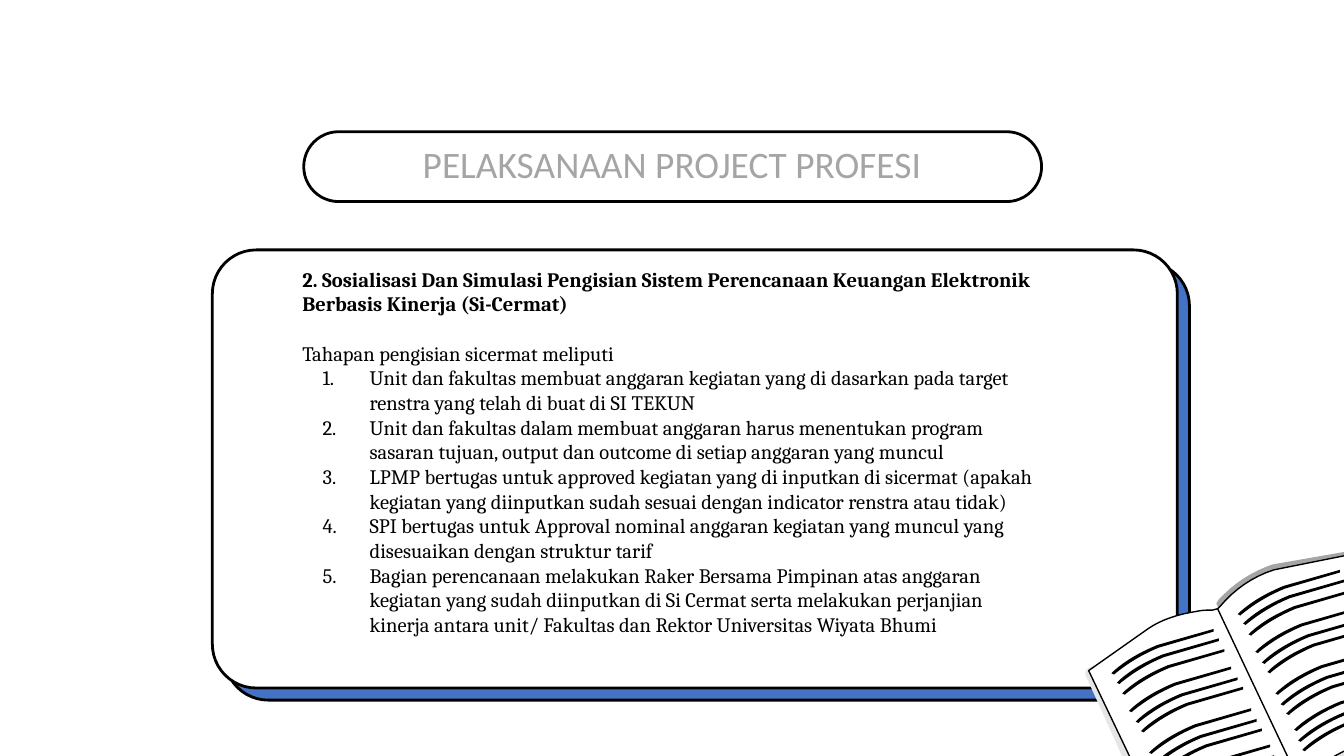
from dataclasses import dataclass

from lxml import etree
from pptx import Presentation
from pptx.dml.color import RGBColor
from pptx.enum.shapes import MSO_SHAPE
from pptx.enum.text import MSO_ANCHOR, MSO_AUTO_SIZE, PP_ALIGN
from pptx.oxml.ns import qn
from pptx.util import Inches, Pt

ROUNDED = MSO_SHAPE.ROUNDED_RECTANGLE
MIDDLE = MSO_ANCHOR.MIDDLE
NO_FIT = MSO_AUTO_SIZE.NONE
CENTER, LEFT = PP_ALIGN.CENTER, PP_ALIGN.LEFT


@dataclass(frozen=True)
class Theme:
    ink: RGBColor = RGBColor(0x00, 0x00, 0x00)
    paper: RGBColor = RGBColor(0xFF, 0xFF, 0xFF)
    accent: RGBColor = RGBColor(0x44, 0x72, 0xC4)
    grey: RGBColor = RGBColor(0xA5, 0xA5, 0xA5)
    cover: RGBColor = RGBColor(0xE7, 0xE6, 0xE6)
    title_font: str = "Calibri"
    body_font: str = "Cambria"
    title_size: Pt = Pt(20)
    body_size: Pt = Pt(11)
    frame_line: Pt = Pt(1.5)
    page_line: Pt = Pt(0.75)


theme = Theme()


def paint(shape, fill, line_width=None):
    shape.shadow.inherit = False
    shape.fill.solid()
    shape.fill.fore_color.rgb = fill
    if line_width is None:
        shape.line.fill.background()
    else:
        shape.line.color.rgb = theme.ink
        shape.line.width = line_width


def add_outline(shapes, contours, fill, line_width=None):
    """Each contour lists points (x, y) and Bezier steps (x1, y1, x2, y2, x, y)."""
    builder = None
    for start, *steps in contours:
        x, y = Inches(start[0]), Inches(start[1])
        if builder is None:
            builder = shapes.build_freeform(x, y)
        else:
            builder.move_to(x, y)
        points, pen = [], start
        for step in steps:
            if len(step) == 2:
                points.append(step)
            else:
                controls = [pen, step[:2], step[2:4], step[4:]]
                for t in (i / 8 for i in range(1, 9)):
                    weights = ((1 - t) ** 3, 3 * t * (1 - t) ** 2, 3 * t * t * (1 - t), t ** 3)
                    points.append([sum(w * c[axis] for w, c in zip(weights, controls))
                                   for axis in (0, 1)])
            pen = step[-2:]
        builder.add_line_segments([(Inches(px), Inches(py)) for px, py in points], close=True)
    paint(builder.convert_to_shape(), fill, line_width)


# Widescreen slide, 16:9
prs = Presentation()
prs.slide_width, prs.slide_height = Inches(10), Inches(10 * 9 / 16)
slide = prs.slides.add_slide(prs.slide_layouts[1])
title, body = slide.placeholders[0], slide.placeholders[1]

# Title pill and content card with its blue backing
title_pill = slide.shapes.add_shape(ROUNDED, Inches(2.26), Inches(0.98), Inches(5.49), Inches(0.52))
title_pill.adjustments[0] = 0.5
paint(title_pill, theme.paper, theme.frame_line)

card_group = slide.shapes.add_group_shape()
for left, top, fill in ((1.67, 1.95, theme.accent), (1.58, 1.86, theme.paper)):
    card = card_group.shapes.add_shape(ROUNDED, Inches(left), Inches(top), Inches(7.18), Inches(3.26))
    card.adjustments[0] = 0.1
    paint(card, fill, theme.frame_line)

# Placeholders, brought in front of the card
for holder, box in ((body, (2.15, 2.46, 5.7, 2.14)), (title, (2.43, 1.06, 5.14, 0.36))):
    holder.left, holder.top, holder.width, holder.height = map(Inches, box)
    slide.shapes.element.append(holder.element)
    frame = holder.text_frame
    frame.word_wrap = True
    frame.auto_size = NO_FIT
    frame.vertical_anchor = MIDDLE
    frame.margin_left = frame.margin_right = frame.margin_top = frame.margin_bottom = Inches(0.1)

# Title
title.text_frame.text = "PELAKSANAAN PROJECT PROFESI"
heading = title.text_frame.paragraphs[0]
heading.alignment = CENTER
heading.line_spacing = 0.9
heading.font.name = theme.title_font
heading.font.size = theme.title_size
heading.font.color.rgb = theme.grey

# Body: topic, lead-in and numbered stages
topic = ("2. Sosialisasi Dan Simulasi Pengisian Sistem Perencanaan Keuangan Elektronik "
         "Berbasis Kinerja (Si-Cermat)")
lead_in = "Tahapan pengisian sicermat meliputi"
stages = [
    "Unit dan fakultas membuat anggaran kegiatan yang di dasarkan pada target renstra "
    "yang telah di buat di SI TEKUN",
    "Unit dan fakultas dalam membuat anggaran harus menentukan program sasaran tujuan, "
    "output dan outcome di setiap anggaran yang muncul",
    "LPMP bertugas untuk approved kegiatan yang di inputkan di sicermat (apakah kegiatan "
    "yang diinputkan sudah sesuai dengan indicator renstra atau tidak)",
    "SPI bertugas untuk Approval nominal anggaran kegiatan yang muncul yang disesuaikan "
    "dengan struktur tarif",
    "Bagian perencanaan melakukan Raker Bersama Pimpinan atas anggaran kegiatan yang sudah "
    "diinputkan di Si Cermat serta melakukan perjanjian kinerja antara unit/ Fakultas dan "
    "Rektor Universitas Wiyata Bhumi",
]
body.text_frame.margin_bottom = Inches(0.44)
body.text_frame.text = "\n".join([topic, lead_in, *stages])
for index, paragraph in enumerate(body.text_frame.paragraphs):
    numbered = index >= 2
    paragraph.alignment = LEFT
    paragraph.line_spacing = 1.0
    paragraph.space_before = Pt(0)
    paragraph.space_after = Pt(13.2 if index == 0 else 0)
    properties = paragraph._p.get_or_add_pPr()
    properties.set("marL", str(Inches(0.5) if numbered else 0))
    properties.set("indent", str(Inches(-0.35) if numbered else 0))
    if numbered:
        etree.SubElement(properties, qn("a:buFont"), typeface="+mj-lt")
        etree.SubElement(properties, qn("a:buAutoNum"), type="arabicPeriod")
    else:
        etree.SubElement(properties, qn("a:buNone"))
    paragraph.font.name = theme.body_font
    paragraph.font.size = theme.body_size
    paragraph.font.bold = index == 0
    paragraph.font.color.rgb = theme.ink

# Open book: covers, page edge and pages, from back to front
right_cover = [(10.14, 4.07), (10.19, 4.1), (10.73, 5.36), (10.7, 5.42), (9.68, 5.83), (9.1, 4.53)]
left_cover = [(9.13, 4.51), (9.7, 5.82), (8.71, 6.3), (8.64, 6.27), (8.08, 5.03),
              (8.07, 5.01, 8.08, 4.98, 8.1, 4.97)]
page_edge = [(10.1, 4.09), (10.72, 5.39), (10.1, 5.5), (9.95, 5.55, 9.81, 5.64, 9.7, 5.77),
             (9.68, 5.79), (9.05, 4.49), (9.07, 4.46), (9.18, 4.34, 9.32, 4.25, 9.47, 4.2)]
right_page = [(10.03, 4.13), (10.66, 5.43), (10.1, 5.55), (9.95, 5.6, 9.81, 5.69, 9.7, 5.82),
              (9.68, 5.84), (9.05, 4.54), (9.08, 4.51), (9.18, 4.39, 9.32, 4.29, 9.48, 4.24)]
left_page = [(8.9, 4.55), (8.94, 4.54, 8.98, 4.54, 9.02, 4.54), (9.06, 4.53), (9.68, 5.84),
             (9.65, 5.84), (9.61, 5.84, 9.58, 5.85, 9.54, 5.85),
             (9.42, 5.87, 9.3, 5.92, 9.19, 5.99), (8.75, 6.35), (8.1, 4.99), (8.54, 4.68),
             (8.64, 4.61, 8.77, 4.57, 8.9, 4.55)]
book = slide.shapes.add_group_shape()
for contour, fill, line_width in (
    (right_cover, theme.cover, None),
    (left_cover, theme.cover, None),
    (page_edge, theme.grey, None),
    (right_page, theme.paper, theme.page_line),
    (left_page, theme.paper, theme.page_line),
):
    add_outline(book.shapes, [contour], fill, line_width)

# Lines of print: one curved stroke, repeated down both pages
stroke = [(0, 0), (0, 0.02), (-0.41, 0.14), (-0.53, 0.19, -0.63, 0.25, -0.73, 0.33),
          (-0.74, 0.34), (-0.76, 0.33), (-0.74, 0.31), (-0.65, 0.23, -0.54, 0.17, -0.42, 0.12)]
line_ends = [(9.97, 4.24), (10.01, 4.31), (10.05, 4.39), (10.1, 4.52), (10.15, 4.6), (10.19, 4.67),
             (10.25, 4.83), (10.29, 4.91), (10.33, 4.98), (10.39, 5.1), (10.42, 5.18), (10.45, 5.25)]
for page_shift in ((0, 0), (-0.94, 0.44)):
    print_lines = [
        [tuple(value + end[i % 2] + page_shift[i % 2] for i, value in enumerate(step))
         for step in stroke]
        for end in line_ends
    ]
    add_outline(book.shapes, print_lines, theme.ink)

prs.save("out.pptx")
